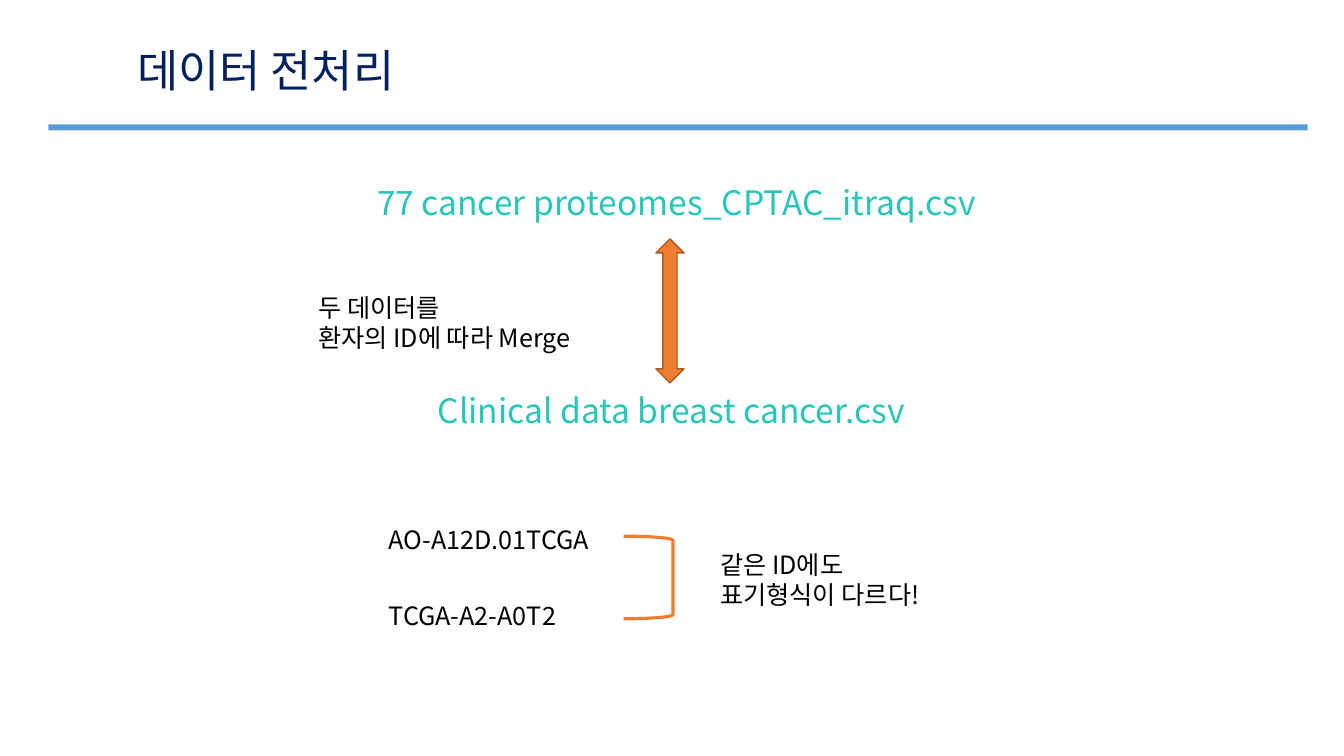
from dataclasses import dataclass

from lxml.etree import SubElement
from pptx import Presentation
from pptx.dml.color import RGBColor
from pptx.enum.shapes import MSO_SHAPE
from pptx.enum.text import MSO_ANCHOR, MSO_AUTO_SIZE, PP_ALIGN
from pptx.oxml.ns import qn
from pptx.util import Pt


@dataclass(frozen=True)
class Theme:
    font: str = "Noto Sans CJK KR"
    title_size: float = 32
    file_size: float = 24
    body_size: float = 18
    navy: str = "002060"
    teal: str = "27C6B9"
    black: str = "000000"
    blue: str = "5B9BD5"
    orange: str = "ED7D31"
    rust: str = "AE5A21"


THEME = Theme()


def fill_text(sp, lines, size, color, align=PP_ALIGN.LEFT):
    tf = sp.text_frame
    tf.word_wrap = True
    tf.auto_size = MSO_AUTO_SIZE.SHAPE_TO_FIT_TEXT
    tf.vertical_anchor = MSO_ANCHOR.TOP
    for i, line in enumerate(lines):
        p = tf.add_paragraph() if i else tf.paragraphs[0]
        p.alignment = align
        r = p.add_run()
        r.text = line
        r.font.name = THEME.font
        r.font.size = Pt(size)
        r.font.color.rgb = RGBColor.from_string(color)
        # Hangul takes its typeface from the East Asian font slot
        SubElement(r.font._element, qn("a:ea"), typeface=THEME.font)


def add_title(s, text, left, top, width, height):
    sp = s.shapes.title
    sp.left, sp.top, sp.width, sp.height = map(Pt, (left, top, width, height))
    fill_text(sp, [text], THEME.title_size, THEME.navy)


def add_file_name(s, text, left, top):
    sp = s.shapes.add_textbox(Pt(left), Pt(top), Pt(877.5), Pt(36))
    fill_text(sp, [text], THEME.file_size, THEME.teal, PP_ALIGN.CENTER)


def add_note(s, lines, left, top, width):
    height = 7.2 + 21.6 * len(lines)
    sp = s.shapes.add_textbox(Pt(left), Pt(top), Pt(width), Pt(height))
    fill_text(sp, lines, THEME.body_size, THEME.black)


def add_figure(s, kind, box, fill=None, line=None, line_width=1):
    sp = s.shapes.add_shape(kind, *map(Pt, box))
    sp.shadow.inherit = False
    if fill:
        sp.fill.solid()
        sp.fill.fore_color.rgb = RGBColor.from_string(fill)
    else:
        sp.fill.background()
    if line:
        sp.line.color.rgb = RGBColor.from_string(line)
        sp.line.width = Pt(line_width)
    else:
        sp.line.fill.background()


def main():
    prs = Presentation()
    prs.slide_width, prs.slide_height = Pt(960.5), Pt(540)
    s = prs.slides.add_slide(prs.slide_layouts[5])

    add_title(s, "데이터 전처리", 90.7, 26.6, 226.8, 46.1)
    add_figure(s, MSO_SHAPE.RECTANGLE, (34.6, 88.8, 900, 4.3), THEME.blue)

    add_file_name(s, "77 cancer proteomes_CPTAC_itraq.csv", 44.6, 126.7)
    add_file_name(s, "Clinical data breast cancer.csv", 41, 275)
    add_figure(s, MSO_SHAPE.UP_DOWN_ARROW, (468.7, 170.6, 20.2, 103),
               THEME.orange, THEME.rust)
    add_note(s, ["두 데이터를", "환자의 ID에 따라 Merge"], 220.3, 205.2, 226)

    for i, patient_id in enumerate(["AO-A12D.01TCGA", "TCGA-A2-A0T2"]):
        add_note(s, [patient_id], 270.7, 370.8 + 54.7 * i, 226)
    add_figure(s, MSO_SHAPE.RIGHT_BRACKET, (445.7, 383, 35.3, 59),
               line=THEME.orange, line_width=2.25)
    add_note(s, ["같은 ID에도", "표기형식이 다르다!"], 507.6, 388.8, 174.2)

    prs.save("out.pptx")


if __name__ == "__main__":
    main()
